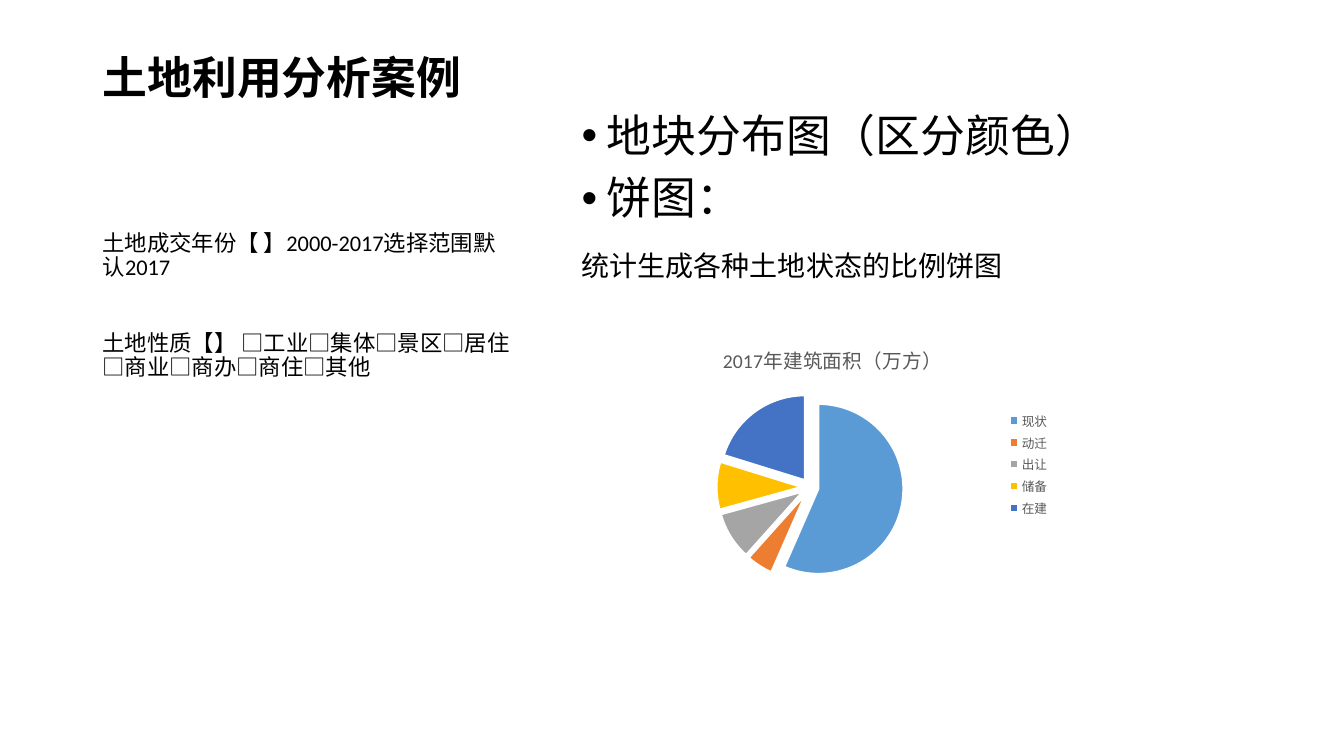
from lxml import etree
from pptx import Presentation
from pptx import util as u
from pptx.chart.data import CategoryChartData
from pptx.dml.color import RGBColor
from pptx.enum import chart as ch, text
from pptx.oxml.ns import qn

HUES = {"ink": "000000", "grey": "595959", "edge": "FFFFFF"}
PARTS = {
    "现状": (56, "5B9BD5"),
    "动迁": (5, "ED7D31"),
    "出让": (9, "A5A5A5"),
    "储备": (9, "FFC000"),
    "在建": (20, "4472C4"),
}
PLOT = {"x": 0.08, "y": 0.24, "w": 0.74, "h": 0.69}


def inch(box):
    """Turn a box of inches into lengths."""
    return [u.Inches(n) for n in box]


def style(font, size, hue="ink", **more):
    """Set the font of a run, title or legend."""
    for key, val in {"name": "Calibri", "size": u.Pt(size), **more}.items():
        setattr(font, key, val)
    font.color.rgb = RGBColor.from_string(HUES[hue])


def bullet(para):
    """Give a paragraph a round bullet and a hanging indent."""
    props = para._p.get_or_add_pPr()
    props.set("marL", str(u.Inches(0.25)))
    props.set("indent", str(u.Inches(-0.25)))
    etree.SubElement(props, qn("a:buFont")).set("typeface", "Arial")
    etree.SubElement(props, qn("a:buChar")).set("char", "•")


def prose(slide, box, lines, **more):
    """Write lines of (wording, size, space before, bulleted) in a box."""
    frame = slide.shapes.add_textbox(*inch(box)).text_frame
    frame.word_wrap = True
    frame.vertical_anchor = text.MSO_ANCHOR.TOP
    for i, (words, size, gap, dot) in enumerate(lines):
        para = frame.add_paragraph() if i else frame.paragraphs[0]
        para.line_spacing = 0.9
        para.space_before = u.Pt(gap)
        if dot:
            bullet(para)
        run = para.add_run()
        run.text = words
        style(run.font, size, **more)


def place(chart):
    """Fix the inner plot area as shares of the chart."""
    area = chart._chartSpace.chart.plotArea
    for old in area.findall(qn("c:layout")):
        area.remove(old)
    layout = etree.Element(qn("c:layout"))
    area.insert(0, layout)
    man = etree.SubElement(layout, qn("c:manualLayout"))
    rules = {"layoutTarget": "inner", "xMode": "edge", "yMode": "edge", **PLOT}
    for tag, val in rules.items():
        etree.SubElement(man, qn("c:" + tag)).set("val", str(val))


def pie(slide, box):
    """Draw the pie of floor area by land status."""
    data = CategoryChartData()
    data.categories = list(PARTS)
    data.add_series("Series 1", [val for val, _ in PARTS.values()])
    chart = slide.shapes.add_chart(ch.XL_CHART_TYPE.PIE, *inch(box), data).chart
    style(chart.font, 10)
    chart.has_title = True
    title = chart.chart_title.text_frame
    title.text = "2017年建筑面积（万方）"
    style(title.paragraphs[0].runs[0].font, 14, "grey", bold=False)
    chart.has_legend = True
    chart.legend.position = ch.XL_LEGEND_POSITION.RIGHT
    chart.legend.include_in_layout = False
    style(chart.legend.font, 9, "grey")

    plot = chart.plots[0]
    plot.vary_by_categories = True
    ring = plot.series[0]
    for i, (_, hue) in enumerate(PARTS.values()):
        form = ring.points[i].format
        form.fill.solid()
        form.fill.fore_color.rgb = RGBColor.from_string(hue)
        form.line.color.rgb = RGBColor.from_string(HUES["edge"])
        form.line.width = u.Pt(1.5)
    burst = etree.Element(qn("c:explosion"))
    burst.set("val", "10")
    ring._element.find(qn("c:dPt")).addprevious(burst)
    place(chart)


def build():
    """Build and save the land use slide."""
    deck = Presentation()
    deck.slide_width, deck.slide_height = inch((13.33, 7.5))
    slide = deck.slides.add_slide(deck.slide_layouts[6])
    prose(slide, (0.92, 0.5, 4.3, 1.75),
          [("土地利用分析案例", 32, 0, False)], bold=True)
    prose(slide, (5.67, 1.08, 6.75, 5.33), [
        ("地块分布图（区分颜色）", 32, 10, True),
        ("饼图：", 32, 10, True),
        ("统计生成各种土地状态的比例饼图", 20, 20, False),
    ])
    prose(slide, (0.92, 2.25, 4.3, 4.17), [
        ("土地成交年份【 】2000-2017选择范围默认2017", 16, 10, False),
        ("土地性质【】 □工业□集体□景区□居住□商业□商办□商住□其他", 16, 37, False),
    ])
    pie(slide, (6.01, 3.26, 4.5, 2.69))
    deck.save("out.pptx")


build()
